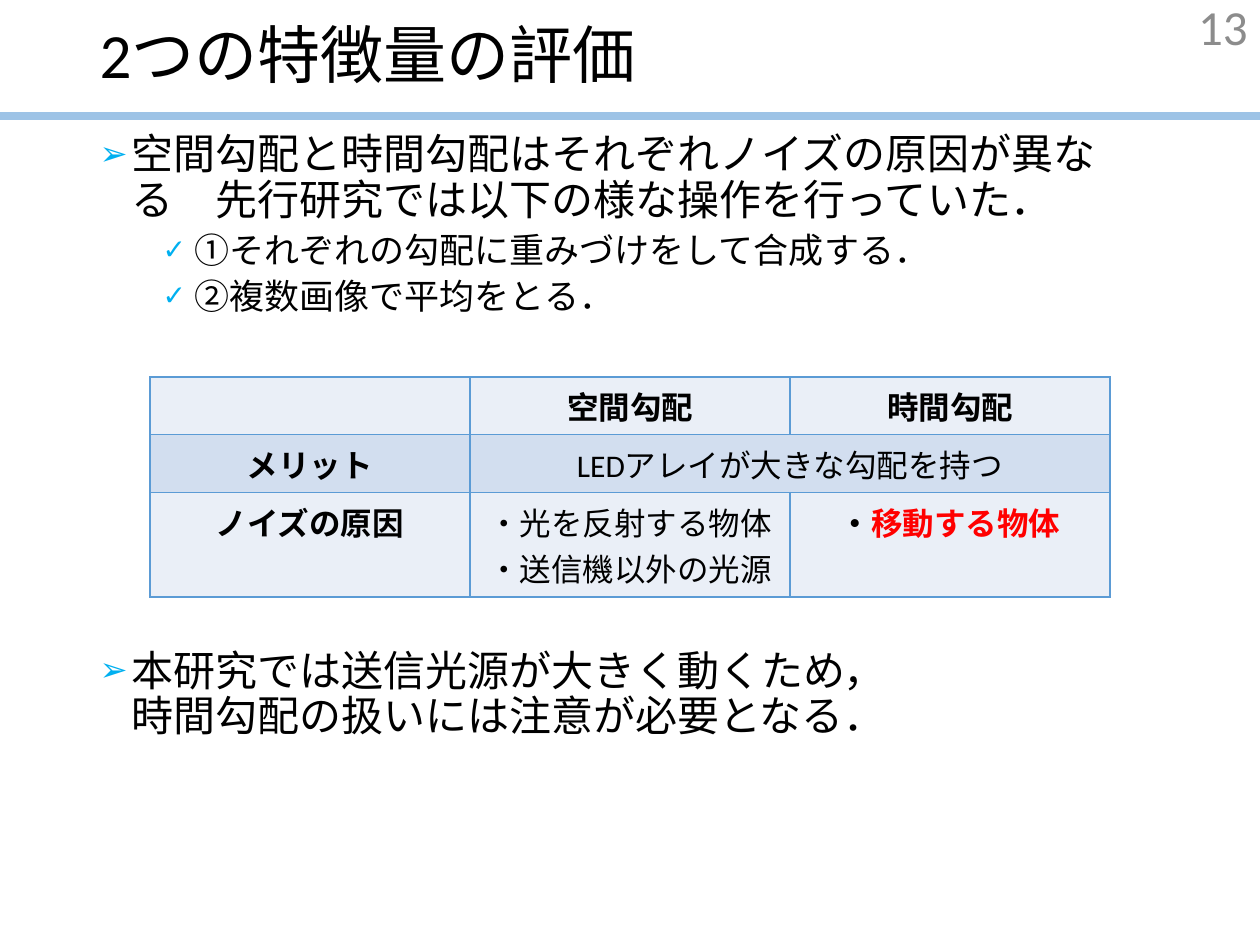
from dataclasses import dataclass

from lxml.etree import SubElement
from pptx import Presentation
from pptx.dml.color import RGBColor
from pptx.enum.shapes import MSO_CONNECTOR
from pptx.enum.text import MSO_ANCHOR, MSO_AUTO_SIZE, PP_ALIGN
from pptx.oxml.ns import qn
from pptx.util import Inches, Pt

FONT = "Calibri"
COLORS = {
    "text": "000000", "alert": "FF0000", "number": "8C8C8C", "rule": "9DC3E6",
    "bullet": "00B0F0", "border": "5B9BD5", "light": "EAEFF7", "band": "D2DEEF",
}
MARGIN, HEADER_H = 0.69, 0.92
TEXT_W = 10 - 2 * MARGIN
COL_W = 2.54
ROW_HEIGHTS = [0.46, 0.46, 0.83]


@dataclass
class Bullet:
    text: str
    before: float
    level: int = 0


@dataclass
class Cell:
    row: int
    col: int
    text: str
    bold: bool = False


BULLETS = [
    Bullet("空間勾配と時間勾配はそれぞれノイズの原因が異なる　先行研究では以下の様な操作を行っていた．", 10),
    Bullet("①それぞれの勾配に重みづけをして合成する．", 5, 1),
    Bullet("②複数画像で平均をとる．", 5, 1),
    Bullet("本研究では送信光源が大きく動くため，\v時間勾配の扱いには注意が必要となる．", 190),
]
CELLS = [
    Cell(0, 1, "空間勾配", True),
    Cell(0, 2, "時間勾配", True),
    Cell(1, 0, "メリット", True),
    Cell(1, 1, "LEDアレイが大きな勾配を持つ"),
    Cell(2, 0, "ノイズの原因", True),
    Cell(2, 1, "・光を反射する物体\n・送信機以外の光源"),
    Cell(2, 2, "・", True),
]


def rgb(name: str) -> RGBColor:
    return RGBColor.from_string(COLORS[name])


def style(p, size: float, color: str = "text", bold: bool = False) -> None:
    for r in p.runs:
        r.font.name, r.font.size, r.font.bold = FONT, Pt(size), bold
        r.font.color.rgb = rgb(color)


def place(sp, left: float, top: float, width: float, height: float) -> None:
    sp.left, sp.top = Inches(left), Inches(top)
    sp.width, sp.height = Inches(width), Inches(height)


def add_bullet_mark(p, level: int) -> None:
    pPr = p._p.get_or_add_pPr()
    pPr.set("marL", str(Inches(0.25 + 0.5 * level)))
    pPr.set("indent", str(-Inches(0.25)))
    clr = SubElement(pPr, qn("a:buClr"))
    SubElement(clr, qn("a:srgbClr"), val=COLORS["bullet"])
    SubElement(pPr, qn("a:buSzPct"), val="80000")
    SubElement(pPr, qn("a:buChar"), char="✓" if level else "➢")


def add_borders(cell) -> None:
    tcPr = cell._tc.get_or_add_tcPr()
    for side in "LRTB":
        ln = SubElement(tcPr, qn(f"a:ln{side}"), w=str(Pt(1)))
        fill = SubElement(ln, qn("a:solidFill"))
        SubElement(fill, qn("a:srgbClr"), val=COLORS["border"])


def add_header(s) -> None:
    rule = s.shapes.add_connector(
        MSO_CONNECTOR.STRAIGHT, 0, Inches(HEADER_H), Inches(10), Inches(HEADER_H))
    rule.line.color.rgb, rule.line.width = rgb("rule"), Pt(4.5)
    SubElement(rule._element.spPr, qn("a:effectLst"))

    title = s.shapes.title
    place(title, MARGIN, 0, TEXT_W, HEADER_H)
    tf = title.text_frame
    tf.text = "2つの特徴量の評価"
    tf.auto_size, tf.vertical_anchor = MSO_AUTO_SIZE.NONE, MSO_ANCHOR.MIDDLE
    p = tf.paragraphs[0]
    p.alignment, p.line_spacing = PP_ALIGN.LEFT, 0.9
    style(p, 36)

    number = s.shapes.add_textbox(Inches(7.75), Inches(0.01), Inches(2.25), Inches(0.4))
    tf = number.text_frame
    tf.text, tf.word_wrap, tf.vertical_anchor = "13", True, MSO_ANCHOR.MIDDLE
    tf.paragraphs[0].alignment = PP_ALIGN.RIGHT
    style(tf.paragraphs[0], 28, "number")


def add_body(s, bullets: list[Bullet]) -> None:
    body = s.placeholders[1]
    place(body, MARGIN, 1.01, TEXT_W, 5.74)
    tf = body.text_frame
    tf.auto_size = MSO_AUTO_SIZE.NONE
    for i, b in enumerate(bullets):
        p = tf.add_paragraph() if i else tf.paragraphs[0]
        p.text, p.level = b.text, b.level
        p.line_spacing, p.space_before = 0.9, Pt(b.before)
        add_bullet_mark(p, b.level)
        style(p, 20 if b.level else 24)


def add_comparison(s, cells: list[Cell]) -> None:
    table = s.shapes.add_table(len(ROW_HEIGHTS), 3, Inches(1.19), Inches(2.99),
                               Inches(3 * COL_W), Inches(sum(ROW_HEIGHTS))).table
    for col in table.columns:
        col.width = Inches(COL_W)
    for i, (row, height) in enumerate(zip(table.rows, ROW_HEIGHTS)):
        row.height = Inches(height)
        for cell in row.cells:
            add_borders(cell)
            cell.fill.solid()
            cell.fill.fore_color.rgb = rgb("band" if i % 2 else "light")
    table.cell(1, 1).merge(table.cell(1, 2))
    for c in cells:
        tf = table.cell(c.row, c.col).text_frame
        tf.text = c.text
        for p in tf.paragraphs:
            p.alignment = PP_ALIGN.CENTER
            style(p, 18, bold=c.bold)

    p = table.cell(2, 2).text_frame.paragraphs[0]
    r = p.add_run()
    r.text = "移動する物体"
    style(p, 18, "alert", True)
    p.runs[0].font.color.rgb = rgb("text")


def main() -> None:
    prs = Presentation()
    prs.slide_width, prs.slide_height = Inches(10), Inches(7.5)
    s = prs.slides.add_slide(prs.slide_layouts[1])
    add_header(s)
    add_body(s, BULLETS)
    add_comparison(s, CELLS)
    prs.save("out.pptx")


if __name__ == "__main__":
    main()
